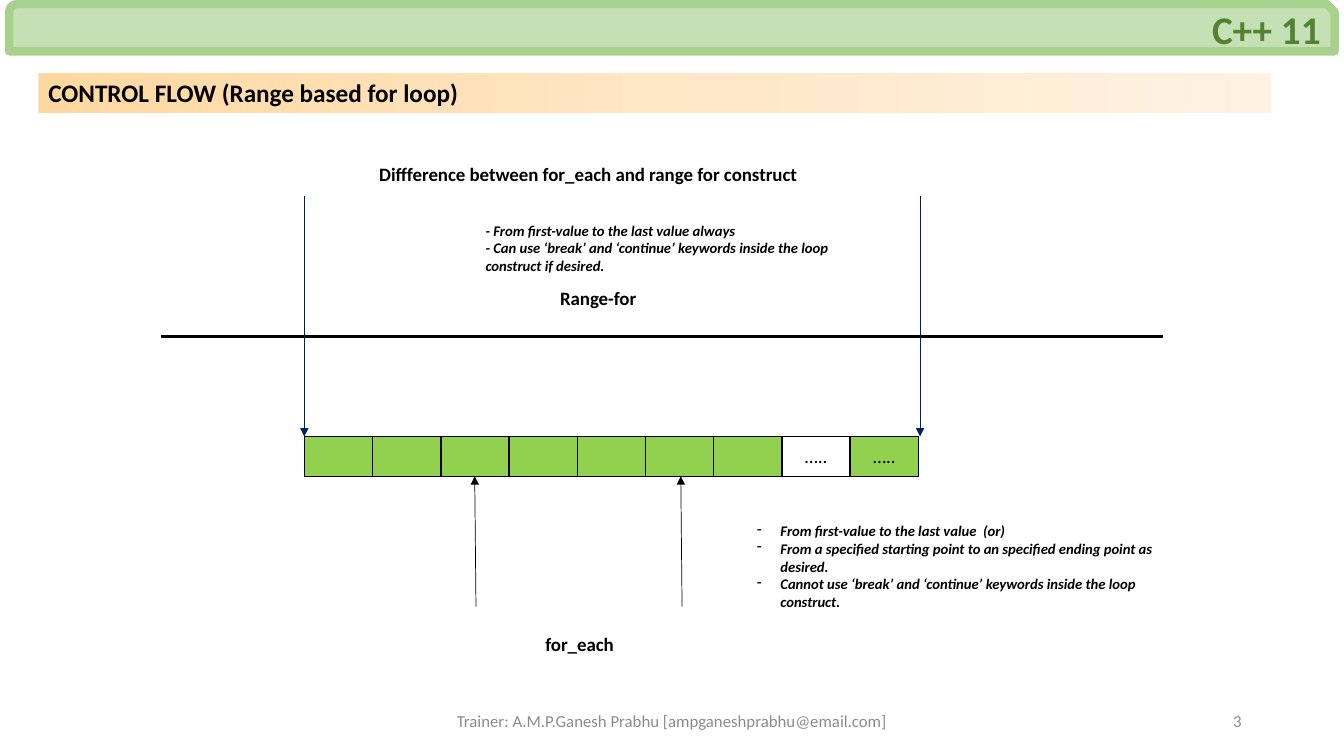
import copy

import pptx
import pptx.dml.color
import pptx.enum.shapes
import pptx.enum.text
import pptx.oxml
import pptx.oxml.ns
import pptx.util

Pt = pptx.util.Pt
SHAPES = pptx.enum.shapes.MSO_SHAPE
ALIGN = pptx.enum.text.PP_ALIGN
ANCHOR = pptx.enum.text.MSO_ANCHOR
NAMESPACE = pptx.oxml.ns.nsdecls("a")

HEADING = {"size": Pt(13.5), "bold": True}
NOTE = {"size": Pt(10.5), "bold": True, "italic": True}
FOOTER = {"size": Pt(12)}
GREEN = "92D050"
NAVY = "002060"
GREY = "8C8C8C"


def rgb(value):
    return pptx.dml.color.RGBColor.from_string(value)


class SlideBuilder:
    font = "Calibri"
    ink = "000000"

    def __init__(self, page):
        self.page = page

    def fill_text(self, box, lines, style, color=None, align=None, anchor=ANCHOR.TOP, bullet=None):
        frame = box.text_frame
        frame.word_wrap = True
        frame.vertical_anchor = anchor
        for index, line in enumerate(lines):
            para = frame.paragraphs[0] if index == 0 else frame.add_paragraph()
            para.alignment = align or ALIGN.LEFT
            if bullet:
                self.add_bullet(para, bullet)
            span = para.add_run()
            span.text = line
            for name, value in {"name": self.font, **style}.items():
                setattr(span.font, name, value)
            span.font.color.rgb = rgb(color or self.ink)

    def add_bullet(self, para, bullet):
        properties = para._p.get_or_add_pPr()
        properties.set("marL", str(Pt(16.9)))
        properties.set("indent", str(-Pt(16.9)))
        properties.append(pptx.oxml.parse_xml(f'<a:buChar {NAMESPACE} char="{bullet}"/>'))

    def text(self, left, top, width, height, lines, style, **layout):
        box = self.page.shapes.add_textbox(Pt(left), Pt(top), Pt(width), Pt(height))
        self.fill_text(box, lines, style, **layout)

    def shape(self, kind, left, top, width, height, fill=None, line=None, weight=1):
        box = self.page.shapes.add_shape(kind, Pt(left), Pt(top), Pt(width), Pt(height))
        box.shadow.inherit = False
        if fill:
            box.fill.solid()
            box.fill.fore_color.rgb = rgb(fill)
        else:
            box.fill.background()
        if line:
            box.line.color.rgb = rgb(line)
            box.line.width = Pt(weight)
        else:
            box.line.fill.background()
        return box

    def gradient(self, box, colors):
        box.fill.gradient()
        box.fill.gradient_angle = 0
        stops = box._element.spPr.find(".//" + pptx.oxml.ns.qn("a:gsLst"))
        while len(stops) < len(colors):
            stops.insert(1, copy.deepcopy(stops[0]))
        for index, (stop, color) in enumerate(zip(box.fill.gradient_stops, colors)):
            stop.position = index / (len(colors) - 1)
            stop.color.rgb = rgb(color)

    def line(self, start, end, color, weight, arrow=False):
        connector = self.page.shapes.add_connector(
            pptx.enum.shapes.MSO_CONNECTOR.STRAIGHT, *map(Pt, start + end))
        connector.line.color.rgb = rgb(color)
        connector.line.width = Pt(weight)
        properties = connector._element.spPr
        if arrow:
            properties.get_or_add_ln().append(
                pptx.oxml.parse_xml(f'<a:tailEnd {NAMESPACE} type="triangle"/>'))
        properties.append(pptx.oxml.parse_xml(f"<a:effectLst {NAMESPACE}/>"))


def draw_array(builder):
    left, top, width, height = 217.4, 311.8, 48.74, 28.4
    labels = [None] * 7 + ["….."] * 2
    for index, label in enumerate(labels):
        fill = None if index == 7 else GREEN
        cell = builder.shape(SHAPES.RECTANGLE, left + index * width, top, width, height,
                             fill, builder.ink)
        if label:
            builder.fill_text(cell, [label], {"size": Pt(13.5)}, align=ALIGN.CENTER,
                              anchor=ANCHOR.MIDDLE)
    for x in (left, 657.2):
        builder.line((x, 140.2), (x, top), NAVY, 0.5, arrow=True)
    for start, end in ((340, 339.1), (487.2, 486.3)):
        builder.line((start, 433.3), (end, top + height), builder.ink, 0.5, arrow=True)


def main():
    deck = pptx.Presentation()
    deck.slide_width, deck.slide_height = Pt(960), Pt(540)
    page = deck.slides.add_slide(deck.slide_layouts[6])
    builder = SlideBuilder(page)

    title = builder.shape(SHAPES.RECTANGLE, 27.4, 52, 880.6, 28.8)
    builder.gradient(title, ["FFD8A0", "FFE6C5", "FFF2E3"])
    builder.fill_text(title, ["CONTROL FLOW (Range based for loop)"],
                      {"size": Pt(18), "bold": True}, anchor=ANCHOR.MIDDLE)

    builder.line((114.8, 240.6), (830.9, 240.6), builder.ink, 2.25)
    draw_array(builder)

    builder.text(393, 201, 88.6, 27.4, ["Range-for"], HEADING)
    builder.text(382.4, 448, 90, 27.4, ["for_each"], HEADING)
    builder.text(218.6, 112.3, 403.2, 27.4,
                 ["Diffference between for_each and range for construct"],
                 HEADING, align=ALIGN.CENTER)
    builder.text(339.8, 154.8, 267.8, 52.6, [
        "- From first-value to the last value always",
        "- Can use ‘break’ and ‘continue’ keywords inside the loop construct if desired.",
    ], NOTE)
    builder.text(533.5, 369.4, 313.2, 95.8, [
        "From first-value to the last value  (or)",
        "From a specified starting point to an specified ending point as desired.",
        "Cannot use ‘break’ and ‘continue’ keywords inside the loop construct.",
    ], NOTE, bullet="-")

    builder.text(318, 500.5, 324, 28.75,
                 ["Trainer: A.M.P.Ganesh Prabhu [ampganeshprabhu@email.com]"],
                 FOOTER, color=GREY, align=ALIGN.CENTER, anchor=ANCHOR.MIDDLE)
    builder.text(678, 500.5, 216, 28.75, ["3"], FOOTER, color=GREY,
                 align=ALIGN.RIGHT, anchor=ANCHOR.MIDDLE)

    banner = builder.shape(SHAPES.SNIP_ROUND_RECTANGLE, 6.5, 2.9, 946.8, 33.8,
                           "C5E0B4", "A9D18E", 6)
    builder.fill_text(banner, ["C++ 11"], {"size": Pt(28), "bold": True}, color="548235",
                      align=ALIGN.RIGHT, anchor=ANCHOR.MIDDLE)

    deck.save("out.pptx")


if __name__ == "__main__":
    main()
